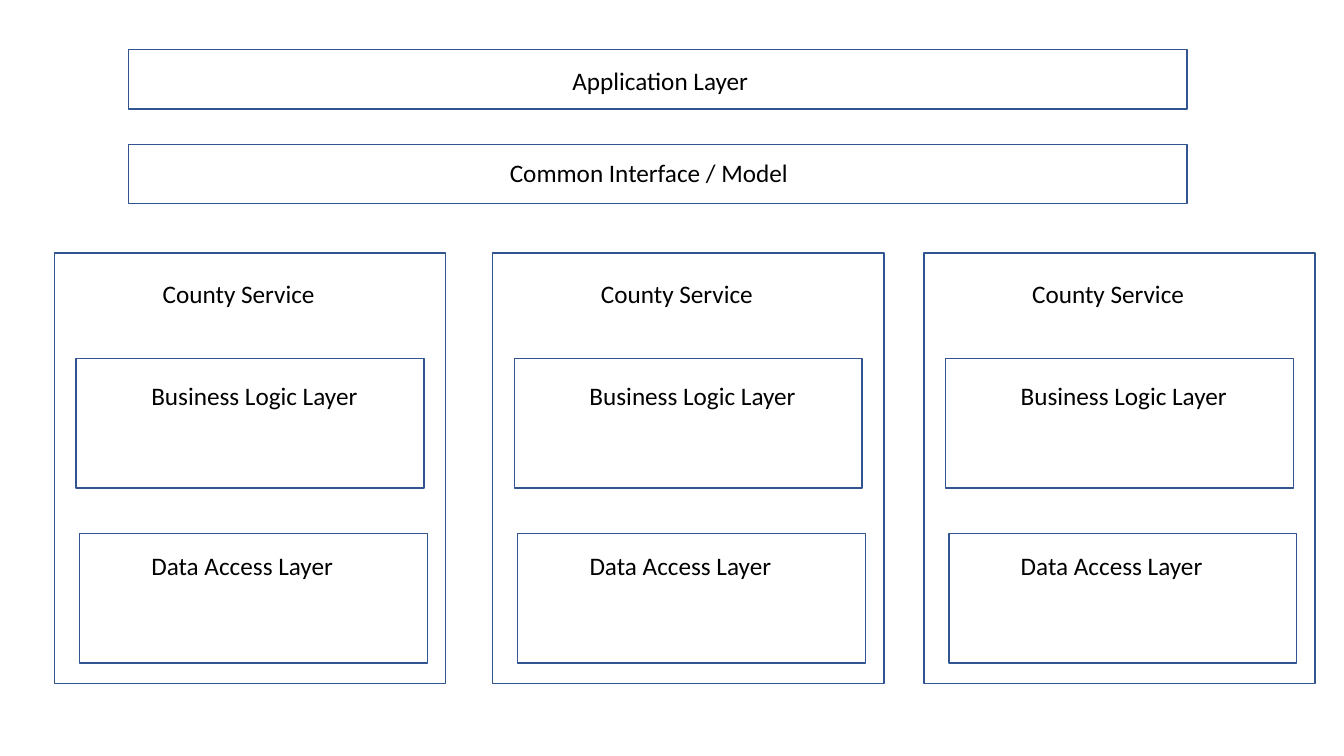
from pptx import Presentation
from pptx.dml.color import RGBColor
from pptx.enum.shapes import MSO_SHAPE
from pptx.enum.text import MSO_AUTO_SIZE
from pptx.util import Pt

LABEL_HEIGHT = 29.08

presentation = Presentation()
presentation.slide_width = Pt(960)
presentation.slide_height = Pt(540)
slide = presentation.slides.add_slide(presentation.slide_layouts[6])


def add_box(left, top, width, height):
    shape = slide.shapes.add_shape(
        MSO_SHAPE.RECTANGLE, Pt(left), Pt(top), Pt(width), Pt(height))
    shape.shadow.inherit = False
    shape.fill.background()
    shape.line.color.rgb = RGBColor.from_string("325491")
    shape.line.width = Pt(1)


def add_label(text, left, top, width):
    shape = slide.shapes.add_textbox(
        Pt(left), Pt(top), Pt(width), Pt(LABEL_HEIGHT))
    frame = shape.text_frame
    frame.word_wrap = True
    frame.auto_size = MSO_AUTO_SIZE.SHAPE_TO_FIT_TEXT
    run = frame.paragraphs[0].add_run()
    run.text = text
    for name, value in {"name": "Calibri", "size": Pt(18)}.items():
        setattr(run.font, name, value)
    run.font.color.rgb = RGBColor.from_string("000000")


# Shared layers: text, box top, label left, label top
shared_layers = [
    ("Application Layer", 35.3, 401.8, 43.2),
    ("Common Interface / Model", 103, 357.1, 108.9),
]
for text, box_top, label_left, label_top in shared_layers:
    add_box(92, box_top, 756, 42.5)
    add_label(text, label_left, label_top, 247)

# Layers inside each service: text, box offset, box top, label top, label width
service_layers = [
    ("Data Access Layer", 17.8, 381, 389.5, 154.8),
    ("Business Logic Layer", 15.4, 256, 268, 172),
]
for service_left in (39, 352, 660):
    add_box(service_left, 180.8, 279.4, 307.4)
    add_label("County Service", service_left + 70.2, 195, 182.2)
    for text, box_offset, box_top, label_top, label_width in service_layers:
        add_box(service_left + box_offset, box_top, 248.4, 92.5)
        add_label(text, service_left + 62, label_top, label_width)

presentation.save("out.pptx")
